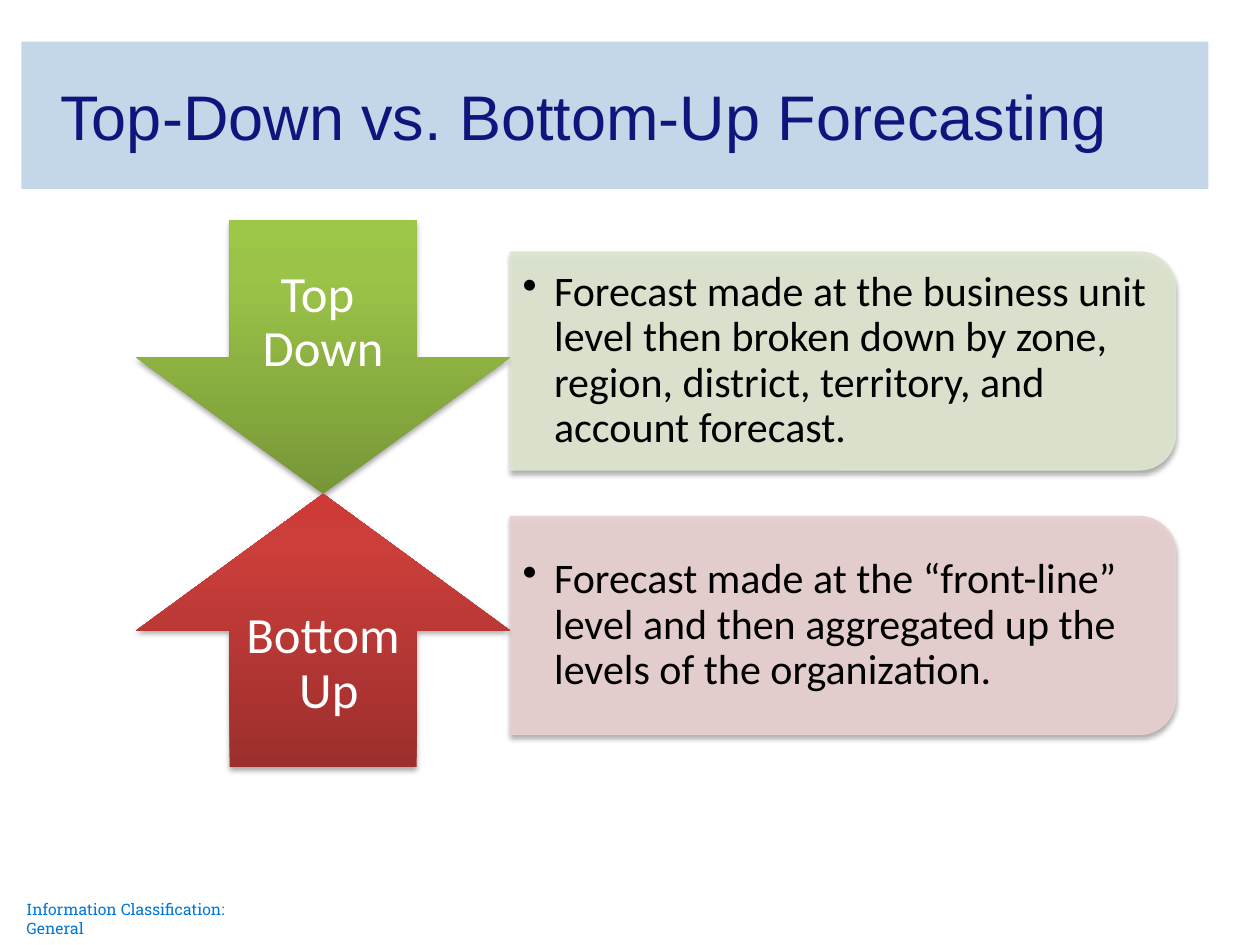
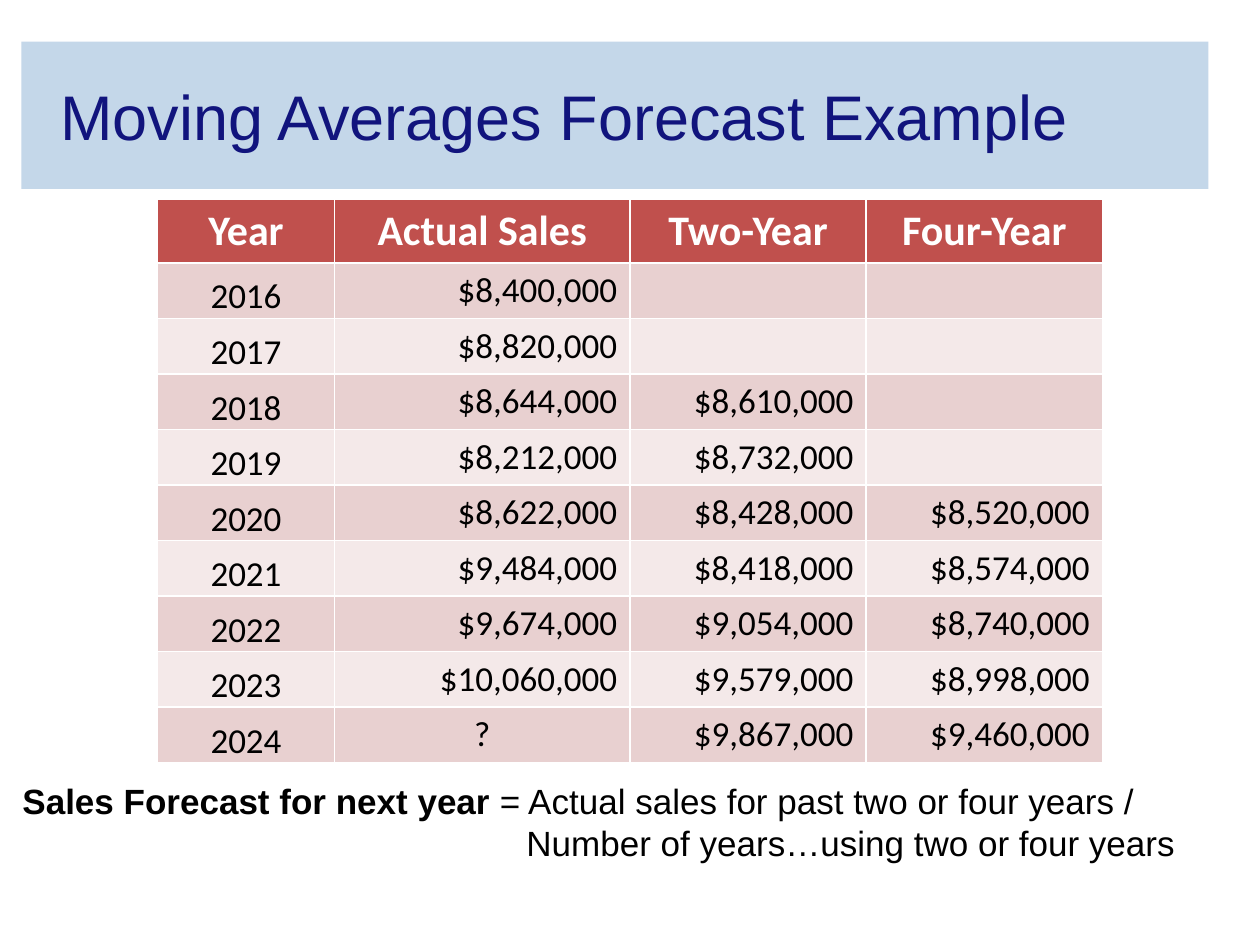
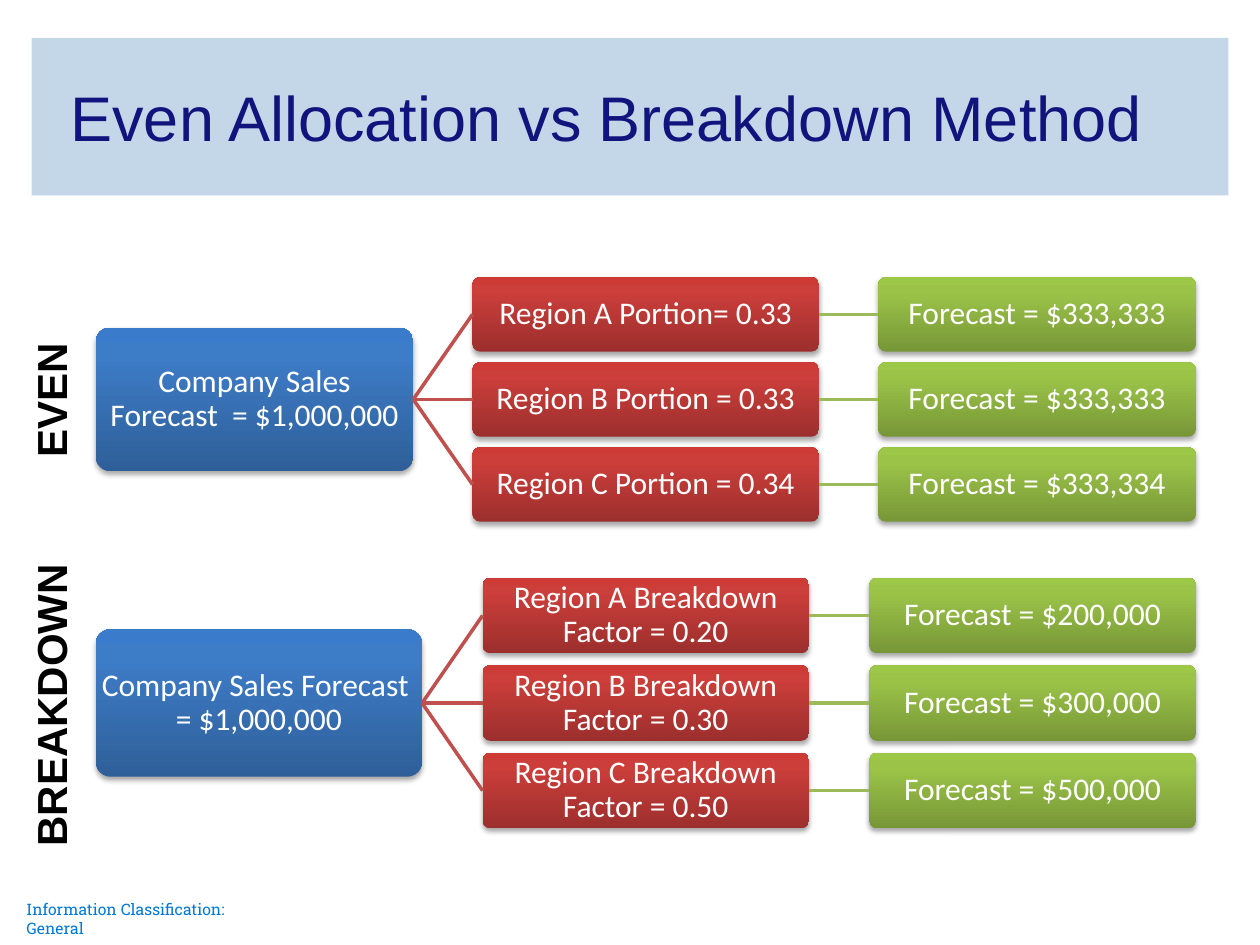
"""Build three slides on sales forecasting methods."""
from copy import deepcopy
from dataclasses import dataclass
from typing import NamedTuple

from lxml import etree
from pptx import Presentation
from pptx.dml.color import RGBColor
from pptx.enum.shapes import MSO_CONNECTOR, MSO_SHAPE
from pptx.enum.text import MSO_ANCHOR, PP_ALIGN
from pptx.oxml.ns import qn
from pptx.util import Inches, Pt

WIDE, TALL = Inches(10), Inches(7.5)
COL, ROW = WIDE / 100, TALL / 75

LEFT, MID, RIGHT = PP_ALIGN.LEFT, PP_ALIGN.CENTER, PP_ALIGN.RIGHT
CENTRE, BASE = MSO_ANCHOR.MIDDLE, MSO_ANCHOR.BOTTOM
ROUND, TAB = MSO_SHAPE.ROUNDED_RECTANGLE, MSO_SHAPE.ROUND_2_SAME_RECTANGLE
DOWN, UP = MSO_SHAPE.DOWN_ARROW, MSO_SHAPE.UP_ARROW
STRAIGHT = MSO_CONNECTOR.STRAIGHT

BLACK = RGBColor(0x00, 0x00, 0x00)
WHITE = RGBColor(0xFF, 0xFF, 0xFF)
NAVY = RGBColor(0x11, 0x14, 0x7D)
SKY = RGBColor(0xC4, 0xD7, 0xE9)
AZURE = RGBColor(0x00, 0x78, 0xD7)
BRICK = RGBColor(0xC0, 0x50, 0x4D)
LEAF = RGBColor(0x9B, 0xBB, 0x59)
ROSE = RGBColor(0xE8, 0xD0, 0xD0)
BLUSH = RGBColor(0xF4, 0xE9, 0xE9)
SAGE = RGBColor(0xDE, 0xE7, 0xD1)
BLUES = (RGBColor(0x2F, 0x5F, 0x99), RGBColor(0x3D, 0x7C, 0xC7), RGBColor(0x3A, 0x7C, 0xCB))
REDS = (RGBColor(0x9C, 0x2F, 0x2D), RGBColor(0xCB, 0x3E, 0x3A), RGBColor(0xCE, 0x3B, 0x37))
GREENS = (RGBColor(0x77, 0x97, 0x37), RGBColor(0x9B, 0xC3, 0x48), RGBColor(0x9D, 0xC7, 0x46))
STOPS = (0, 0.8, 1)


class Box(NamedTuple):
    """A place in grid columns and rows."""
    x: float
    y: float
    w: float
    h: float

    def emu(self) -> tuple:
        """Give left, top, width and height as lengths."""
        return tuple(round(n * u) for n, u in zip(self, (COL, ROW, COL, ROW)))


def face(name: str, size: float, color: RGBColor, bold: bool = False) -> dict:
    """Give the format values of a font."""
    return {"name": name, "size": Pt(size), "bold": bold, "color": color}


HEAD = face("Arial", 36, NAVY)
FOOT = face("Roboto Slab", 9, AZURE)
NOTE = face("Arial", 20, BLACK)
STRONG = face("Arial", 20, BLACK, True)
SIDE = face("Arial", 24, BLACK, True)
POINT = face("Calibri", 24, BLACK)
ARROW = face("Calibri", 29, WHITE)
NODE = face("Calibri", 18, WHITE)
TOP = face("Calibri", 24, WHITE, True)
CELL = face("Calibri", 20, BLACK)

SIDES = ("margin_left", "margin_top", "margin_right", "margin_bottom")
TIGHT = {"alignment": MID, "line_spacing": 0.9}
MAIN = Box(1.7, 3.3, 94.2, 11.7)


def inset(*sizes: float) -> dict:
    """Give the format values of four margins in grid columns."""
    return {side: round(n * COL) for side, n in zip(SIDES, sizes)}


def apply(item, vals: dict) -> None:
    """Set attributes from format values."""
    for key, val in vals.items():
        if key == "color":
            item.color.rgb = val
        else:
            setattr(item, key, val)


def add_run(para, text: str, font: dict) -> None:
    """Add a run in the given font."""
    run = para.add_run()
    run.text = text
    apply(run.font, font)


def write(frame, text: str, font: dict, form: dict, lines: dict):
    """Fill the first paragraph of a text frame."""
    apply(frame, {"word_wrap": True} | form)
    para = frame.paragraphs[0]
    apply(para, lines)
    add_run(para, text, font)
    return para


def indent(para, left: float, first: float = 0) -> None:
    """Indent a paragraph by grid columns."""
    props = para._p.get_or_add_pPr()
    props.set("marL", str(round(left * COL)))
    props.set("indent", str(round(first * COL)))


def add_text(slide, box: Box, text: str, font: dict, form: dict, lines: dict):
    """Add a text box and return it."""
    shape = slide.shapes.add_textbox(*box.emu())
    write(shape.text_frame, text, font, form, lines)
    return shape


def add_slide(deck, title: str, box: Box = MAIN):
    """Add a slide with its title band."""
    slide = deck.slides.add_slide(deck.slide_layouts[5])
    band = slide.shapes.title
    apply(band, dict(zip(("left", "top", "width", "height"), box.emu())))
    band.fill.solid()
    band.fill.fore_color.rgb = SKY
    para = write(band.text_frame, title, HEAD, {"vertical_anchor": CENTRE}, {"alignment": LEFT})
    indent(para, 2.1)
    return slide


def add_foot(slide) -> None:
    """Add the classification line."""
    add_text(slide, Box(2.1, 71.4, 20.3, 1.5), "Information Classification: General",
             FOOT, inset(0, 0, 0, 0), {})


def add_shade(shape) -> None:
    """Add a soft shadow below a shape."""
    shape.shadow.inherit = False
    glow = etree.SubElement(
        shape._element.spPr.find(qn("a:effectLst")), qn("a:outerShdw"),
        blurRad=str(Pt(3.1)), dist=str(Pt(1.8)), dir="5400000", rotWithShape="0")
    ink = etree.SubElement(glow, qn("a:srgbClr"), val=str(BLACK))
    etree.SubElement(ink, qn("a:alpha"), val="35000")


def add_block(slide, kind, box: Box, tones: tuple, text: str, font: dict, pad: dict):
    """Add a shaded gradient shape with text."""
    shape = slide.shapes.add_shape(kind, *box.emu())
    shape.line.fill.background()
    shape.fill.gradient()
    shape.fill.gradient_angle = 90
    stops = shape._element.spPr.find(".//" + qn("a:gsLst"))
    stops.append(deepcopy(stops[-1]))
    for stop, place, tone in zip(shape.fill.gradient_stops, STOPS, tones):
        stop.position = place
        stop.color.rgb = tone
    add_shade(shape)
    write(shape.text_frame, text, font, {"vertical_anchor": CENTRE} | pad, TIGHT)
    return shape


def add_panel(slide, box: Box, tone: RGBColor, text: str) -> None:
    """Add a panel rounded on its right, with one bullet."""
    x, y = box.x + (box.w - box.h) / 2, box.y + (box.h - box.w) / 2
    panel = slide.shapes.add_shape(TAB, *Box(x, y, box.h, box.w).emu())
    panel.rotation = 90
    panel.fill.solid()
    panel.fill.fore_color.rgb = tone
    panel.line.color.rgb = tone
    panel.line.width = Pt(0.75)
    for ink in panel._element.spPr.iter(qn("a:srgbClr")):
        etree.SubElement(ink, qn("a:alpha"), val="90000")
    add_shade(panel)
    inner = Box(box.x, box.y + 0.8, box.w - 0.8, box.h - 1.6)
    label = add_text(slide, inner, text, POINT, {"vertical_anchor": CENTRE}, {"line_spacing": 0.9})
    para = label.text_frame.paragraphs[0]
    indent(para, 2.5, -2.5)
    etree.SubElement(para._p.get_or_add_pPr(), qn("a:buChar"), char="•")


class Way(NamedTuple):
    """A direction of forecasting."""
    kind: int
    name: str
    tones: tuple
    pale: RGBColor
    y: float
    text: str


WAYS = (
    Way(DOWN, "Top  Down", GREENS, SAGE, 20,
        "Forecast made at the business unit level then broken down by zone, "
        "region, district, territory, and account forecast."),
    Way(UP, "Bottom  Up", REDS, ROSE, 41,
        "Forecast made at the “front-line” level and then aggregated up the "
        "levels of the organization."),
)


def draw_ways(deck) -> None:
    """Draw the two directions of forecasting."""
    slide = add_slide(deck, "Top-Down vs. Bottom-Up Forecasting")
    add_foot(slide)
    for i, way in enumerate(WAYS):
        add_panel(slide, Box(40.5, way.y, 52.8, 17.3), way.pale, way.text)
        add_block(slide, way.kind, Box(10.8, 17.5 + 21.7 * i, 29.7, 21.7),
                  way.tones, way.name, ARROW, inset(1.2, 0.6, 1.2, 0.6))


SHARES = (3, 5, 4, 4)
SALES = (
    ("Year", "Actual Sales", "Two-Year", "Four-Year"),
    ("2016", "$8,400,000", "", ""),
    ("2017", "$8,820,000", "", ""),
    ("2018", "$8,644,000", "$8,610,000", ""),
    ("2019", "$8,212,000", "$8,732,000", ""),
    ("2020", "$8,622,000", "$8,428,000", "$8,520,000"),
    ("2021", "$9,484,000", "$8,418,000", "$8,574,000"),
    ("2022", "$9,674,000", "$9,054,000", "$8,740,000"),
    ("2023", "$10,060,000", "$9,579,000", "$8,998,000"),
    ("2024", "?", "$9,867,000", "$9,460,000"),
)


def fill_cell(cell, text: str, row: int, col: int) -> None:
    """Fill one cell of the sales table."""
    cell.fill.solid()
    cell.fill.fore_color.rgb = (ROSE if row % 2 else BLUSH) if row else BRICK
    if row and not col:
        apply(cell, inset(0.1, 0.1, 0.1, 0) | {"vertical_anchor": BASE})
    if text:
        para = cell.text_frame.paragraphs[0]
        para.alignment = RIGHT if text.startswith("$") else MID
        add_run(para, text, CELL if row else TOP)


def draw_sales(deck) -> None:
    """Draw the moving averages table and its rule."""
    slide = add_slide(deck, "Moving Averages Forecast Example")
    box = Box(12.5, 15.8, 75, 44)
    table = slide.shapes.add_table(len(SALES), len(SHARES), *box.emu()).table
    for column, share in zip(table.columns, SHARES):
        column.width = round(box.w * COL * share / sum(SHARES))
    for r, line in enumerate(SALES):
        for c, text in enumerate(line):
            fill_cell(table.cell(r, c), text, r, c)
    rule = add_text(slide, Box(0.8, 61.4, 98.3, 7.7), "Sales Forecast for next year ",
                    STRONG, {}, {}).text_frame
    add_run(rule.paragraphs[0], "= Actual sales for past two or four years /", NOTE)
    para = rule.add_paragraph()
    indent(para, 40)
    add_run(para, "Number of years…using two or four years", NOTE)


@dataclass
class Tree:
    """A sales forecast split over regions."""
    name: str
    mid: float
    side: float
    core: float
    gap: float
    root: float
    high: float
    step: float
    span: float
    cuts: tuple
    sums: tuple


TREES = (
    Tree("EVEN", 31.7, 25.2, 27.5, 4.7, 11.4, 5.9, 6.75, 11.2,
         ("Region A Portion= 0.33", "Region B Portion = 0.33", "Region C Portion = 0.34"),
         ("$333,333", "$333,333", "$333,334")),
    Tree("BREAKDOWN", 55.8, 25.9, 25.9, 4.8, 11.7, 6, 6.95, 24.7,
         tuple(f"Region {key} Breakdown Factor = {cut}"
               for key, cut in zip("ABC", ("0.20", "0.30", "0.50"))),
         ("$200,000", "$300,000", "$500,000")),
)


def add_node(slide, x: float, mid: float, w: float, h: float, tones: tuple, text: str):
    """Add a rounded node centred on a row."""
    node = add_block(slide, ROUND, Box(x, mid - h / 2, w, h), tones, text, NODE,
                     inset(0.1, 0.1, 0.1, 0.1))
    node.adjustments[0] = 0.1
    return node


def join(slide, start, end, tone: RGBColor) -> None:
    """Join the right of one node to the left of the next."""
    link = slide.shapes.add_connector(STRAIGHT, 0, 0, 0, 0)
    link.begin_connect(start, 3)
    link.end_connect(end, 1)
    link.line.color.rgb = tone
    link.line.width = Pt(2)
    etree.SubElement(link._element.spPr, qn("a:effectLst"))


def add_tree(slide, tree: Tree) -> None:
    """Draw one tree with its side label."""
    x = 7.6
    root = add_node(slide, x, tree.mid, tree.side, tree.root, BLUES,
                    "Company Sales Forecast  = $1,000,000")
    near = x + tree.side + tree.gap
    far = near + tree.core + tree.gap
    for i, (cut, total) in enumerate(zip(tree.cuts, tree.sums)):
        y = tree.mid + (i - 1) * tree.step
        share = add_node(slide, near, y, tree.core, tree.high, REDS, cut)
        goal = add_node(slide, far, y, tree.side, tree.high, GREENS, f"Forecast = {total}")
        join(slide, root, share, BRICK)
        join(slide, share, goal, LEAF)
    label = add_text(slide, Box(4 - tree.span / 2, tree.mid - 2.5, tree.span, 5),
                     tree.name, SIDE, {"word_wrap": False}, {})
    label.rotation = 270


def draw_trees(deck) -> None:
    """Draw the even and breakdown splits."""
    slide = add_slide(deck, "Even Allocation vs Breakdown Method", Box(2.5, 3, 95, 12.5))
    add_foot(slide)
    for tree in TREES:
        add_tree(slide, tree)


def main() -> None:
    """Build and save the deck."""
    deck = Presentation()
    deck.slide_width, deck.slide_height = WIDE, TALL
    for draw in (draw_ways, draw_sales, draw_trees):
        draw(deck)
    deck.save("out.pptx")


if __name__ == "__main__":
    main()
